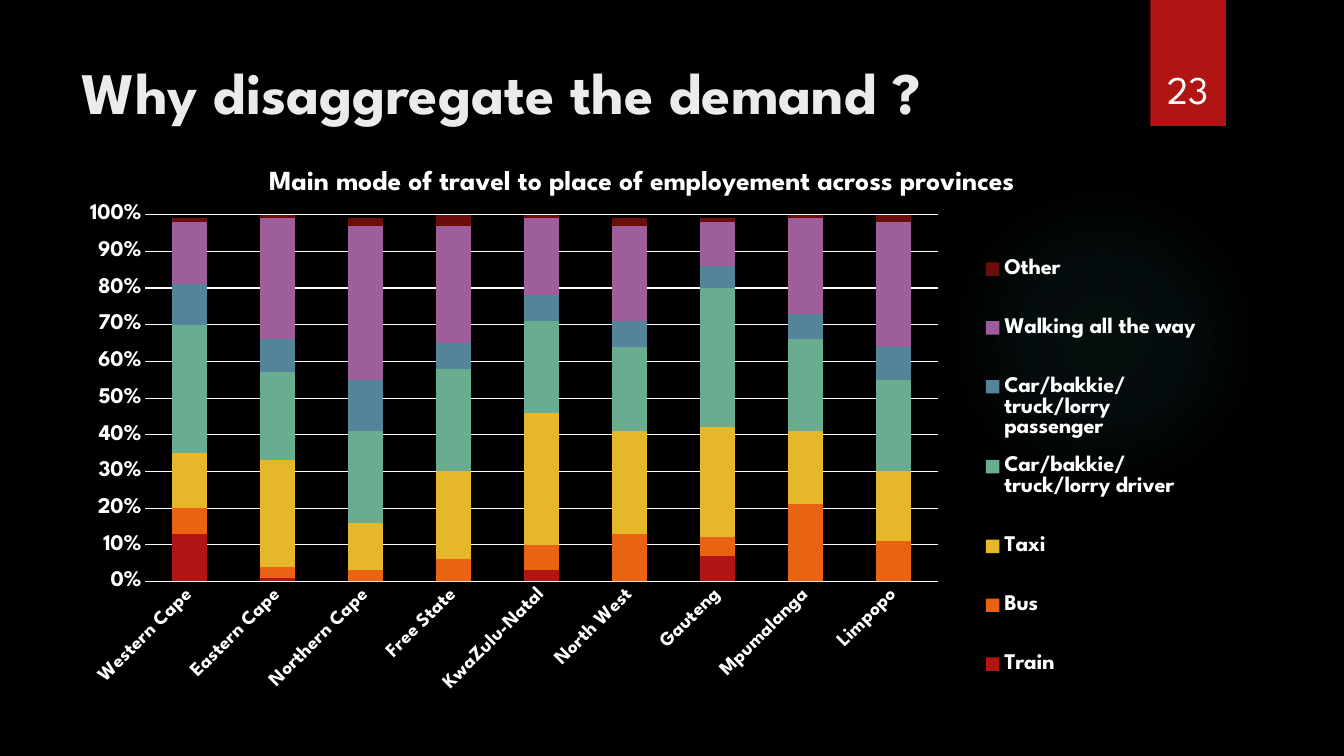
from dataclasses import dataclass

import pptx
import pptx.chart.data
import pptx.dml.color
import pptx.enum.chart
import pptx.enum.shapes
import pptx.enum.text
import pptx.oxml
import pptx.oxml.ns
import pptx.util
from pptx.util import Inches


@dataclass(frozen=True)
class Theme:
    font: str = "League Spartan"
    background: str = "000000"
    white: str = "FFFFFF"
    heading: str = "EBEBEB"
    accent: str = "B01513"
    glow: str = "50B9C1"
    heading_size: int = 42
    number_size: int = 28
    chart_title_size: float = 19.7
    chart_size: int = 16
    category_size: int = 14


THEME = Theme()
CHART_WIDTH, CHART_HEIGHT = 11.76, 5.8
PROVINCES = ["Western Cape", "Eastern Cape", "Northern Cape", "Free State", "KwaZulu-Natal",
             "North West", "Gauteng", "Mpumalanga", "Limpopo"]
TRAVEL_MODES = [
    ("Train", "B01513", [0.13, 0.01, 0, 0, 0.03, 0, 0.07, 0, 0]),
    ("Bus", "EA6312", [0.07, 0.03, 0.03, 0.06, 0.07, 0.13, 0.05, 0.21, 0.11]),
    ("Taxi", "E6B729", [0.15, 0.29, 0.13, 0.24, 0.36, 0.28, 0.3, 0.2, 0.19]),
    ("Car/bakkie/truck/lorry driver", "6AAC90",
     [0.35, 0.24, 0.25, 0.28, 0.25, 0.23, 0.38, 0.25, 0.25]),
    ("Car/bakkie/truck/lorry passenger", "54849A",
     [0.11, 0.09, 0.14, 0.07, 0.07, 0.07, 0.06, 0.07, 0.09]),
    ("Walking all the way", "9E5E9B", [0.17, 0.33, 0.42, 0.32, 0.21, 0.26, 0.12, 0.26, 0.34]),
    ("Other", "6A0D0B", [0.01, 0.01, 0.02, 0.03, 0.01, 0.02, 0.01, 0.01, 0.02]),
]


def rgb(color):
    return pptx.dml.color.RGBColor.from_string(color)


def style_font(font, size, color, bold):
    font.name = THEME.font
    font.size = pptx.util.Pt(size)
    font.bold = bold
    font.color.rgb = rgb(color)


def style_line(line):
    line.color.rgb = rgb(THEME.white)
    line.width = pptx.util.Pt(0.75)


def add_plain_shape(slide, kind, left, top, width, height, color):
    shape = slide.shapes.add_shape(
        kind, Inches(left), Inches(top), Inches(width), Inches(height))
    shape.shadow.inherit = False
    shape.fill.solid()
    shape.fill.fore_color.rgb = rgb(color)
    shape.line.fill.background()
    return shape


def fade_outward(shape, color, stops):
    """Replace the solid fill with a radial gradient of (position, opacity) percentages."""
    stop_xml = "".join(
        f'<a:gs pos="{position * 1000}"><a:srgbClr val="{color}">'
        f'<a:alpha val="{opacity * 1000}"/></a:srgbClr></a:gs>'
        for position, opacity in stops)
    gradient = pptx.oxml.parse_xml(
        f'<a:gradFill {pptx.oxml.ns.nsdecls("a")}><a:gsLst>{stop_xml}</a:gsLst>'
        '<a:path path="circle"><a:fillToRect l="50000" t="50000" r="50000" b="50000"/>'
        '</a:path></a:gradFill>')
    properties = shape._element.spPr
    properties.replace(properties.find(pptx.oxml.ns.qn("a:solidFill")), gradient)


def add_text(slide, text, left, top, width, height, size, color, bold, anchor, alignment):
    box = slide.shapes.add_textbox(Inches(left), Inches(top), Inches(width), Inches(height))
    frame = box.text_frame
    frame.word_wrap = True
    frame.vertical_anchor = anchor
    paragraph = frame.paragraphs[0]
    paragraph.alignment = alignment
    run = paragraph.add_run()
    run.text = text
    style_font(run.font, size, color, bold)


def place(element, left, top, width=None, height=None, inner=False):
    """Give a chart part a fixed place, in inches from the chart's corner."""
    values = {"x": left / CHART_WIDTH, "y": top / CHART_HEIGHT}
    if width is not None:
        values.update(w=width / CHART_WIDTH, h=height / CHART_HEIGHT)
    target = '<c:layoutTarget val="inner"/>' if inner else ""
    modes = '<c:xMode val="edge"/><c:yMode val="edge"/>'
    sizes = "".join(f'<c:{key} val="{value:.4f}"/>' for key, value in values.items())
    layout = pptx.oxml.parse_xml(
        f'<c:layout {pptx.oxml.ns.nsdecls("c")}><c:manualLayout>{target}{modes}{sizes}'
        '</c:manualLayout></c:layout>')
    for old in element.findall(pptx.oxml.ns.qn("c:layout")):
        element.remove(old)
    before = [child for child in element
              if child.tag in map(pptx.oxml.ns.qn, ("c:tx", "c:legendPos"))]
    element.insert(len(before), layout)


def style_axes(chart):
    none = pptx.enum.chart.XL_TICK_MARK.NONE
    category_axis, value_axis = chart.category_axis, chart.value_axis
    for axis, size in ((category_axis, THEME.category_size), (value_axis, THEME.chart_size)):
        axis.major_tick_mark = axis.minor_tick_mark = none
        style_font(axis.tick_labels.font, size, THEME.white, True)
    style_line(category_axis.format.line)
    text_body = category_axis._element.find(pptx.oxml.ns.qn("c:txPr"))
    text_body.find(pptx.oxml.ns.qn("a:bodyPr")).set("rot", "-2700000")
    value_axis.minimum_scale, value_axis.maximum_scale = 0, 1
    value_axis.major_unit = 0.1
    value_axis.tick_labels.number_format = "0%"
    value_axis.tick_labels.number_format_is_linked = False
    value_axis.format.line.fill.background()
    style_line(value_axis.major_gridlines.format.line)


def add_travel_chart(slide, title, left, top):
    data = pptx.chart.data.CategoryChartData(number_format="0%")
    data.categories = PROVINCES
    for name, _, values in TRAVEL_MODES:
        data.add_series(name, values)
    chart = slide.shapes.add_chart(
        pptx.enum.chart.XL_CHART_TYPE.COLUMN_STACKED, Inches(left), Inches(top),
        Inches(CHART_WIDTH), Inches(CHART_HEIGHT), data).chart
    style_font(chart.font, THEME.chart_size, THEME.white, True)

    chart.has_title = True
    run = chart.chart_title.text_frame.paragraphs[0].add_run()
    run.text = title
    style_font(run.font, THEME.chart_title_size, THEME.white, True)
    place(chart.chart_title._element, 2.14, 0.17)

    plot = chart.plots[0]
    plot.gap_width, plot.overlap = 150, 100
    plot.vary_by_categories = False
    for series, (_, color, _) in zip(plot.series, TRAVEL_MODES):
        series.format.fill.solid()
        series.format.fill.fore_color.rgb = rgb(color)
    style_axes(chart)
    place(chart._chartSpace.chart.plotArea, 0.96, 0.68, 7.86, 3.64, inner=True)

    chart.has_legend = True
    chart.legend.position = pptx.enum.chart.XL_LEGEND_POSITION.RIGHT
    chart.legend.include_in_layout = False
    style_font(chart.legend.font, THEME.chart_size, THEME.white, True)
    place(chart.legend._element, 9.24, 0.74, 2.2, 4.88)


def main():
    presentation = pptx.Presentation()
    presentation.slide_width, presentation.slide_height = Inches(13.33), Inches(7.5)
    slide = presentation.slides.add_slide(presentation.slide_layouts[6])
    slide.background.fill.solid()
    slide.background.fill.fore_color.rgb = rgb(THEME.background)

    shapes = pptx.enum.shapes.MSO_SHAPE
    anchors = pptx.enum.text.MSO_ANCHOR
    alignments = pptx.enum.text.PP_ALIGN
    glow = add_plain_shape(slide, shapes.OVAL, 9.41, 1.83, 3.08, 3.08, THEME.glow)
    fade_outward(glow, THEME.glow, [(0, 7), (36, 6), (69, 0)])
    add_plain_shape(slide, shapes.RECTANGLE, 11.41, 0, 0.75, 1.25, THEME.accent)
    add_text(slide, "Why disaggregate the demand ?", 0.71, 0.5, 10.29, 1.53,
             THEME.heading_size, THEME.heading, True, anchors.TOP, alignments.LEFT)
    add_text(slide, "23", 11.32, 0.32, 0.92, 0.84,
             THEME.number_size, THEME.white, False, anchors.BOTTOM, alignments.CENTER)
    add_travel_chart(slide, "Main mode of travel to place of employement across provinces",
                     0.48, 1.45)
    presentation.save("out.pptx")


if __name__ == "__main__":
    main()
